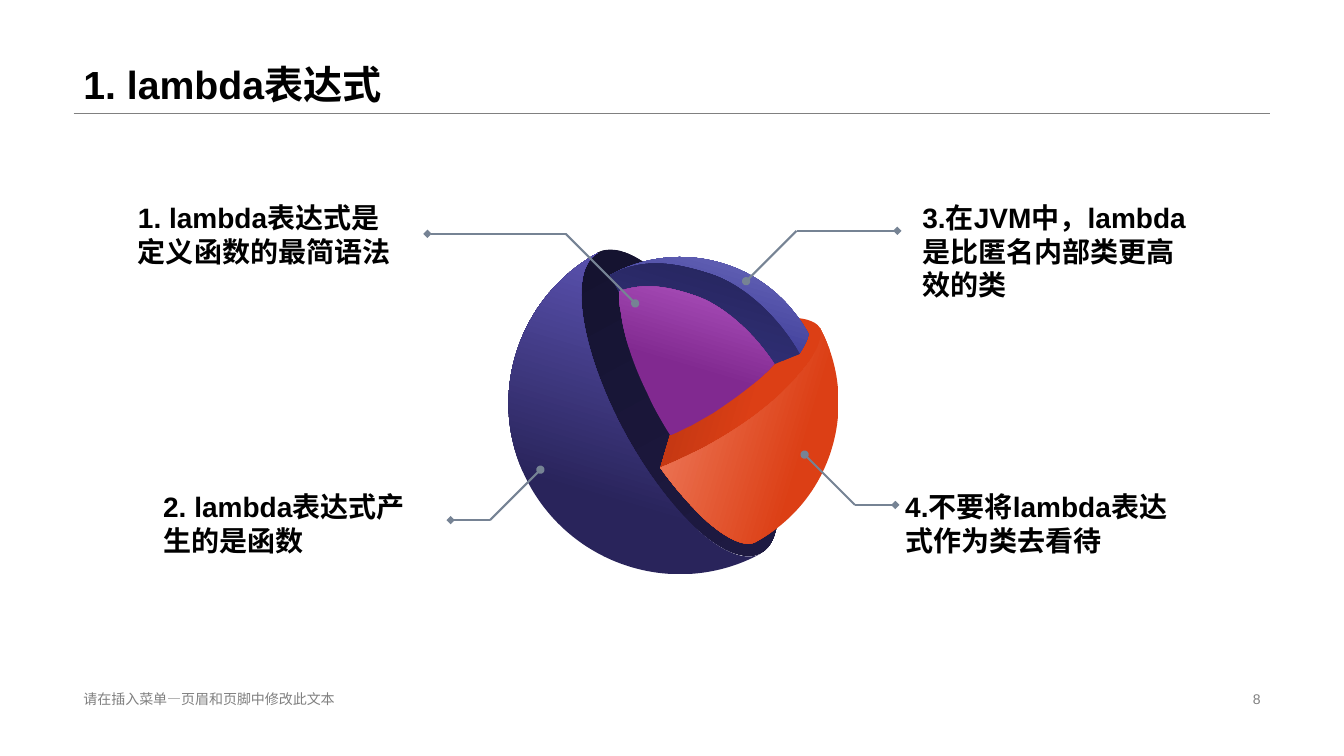
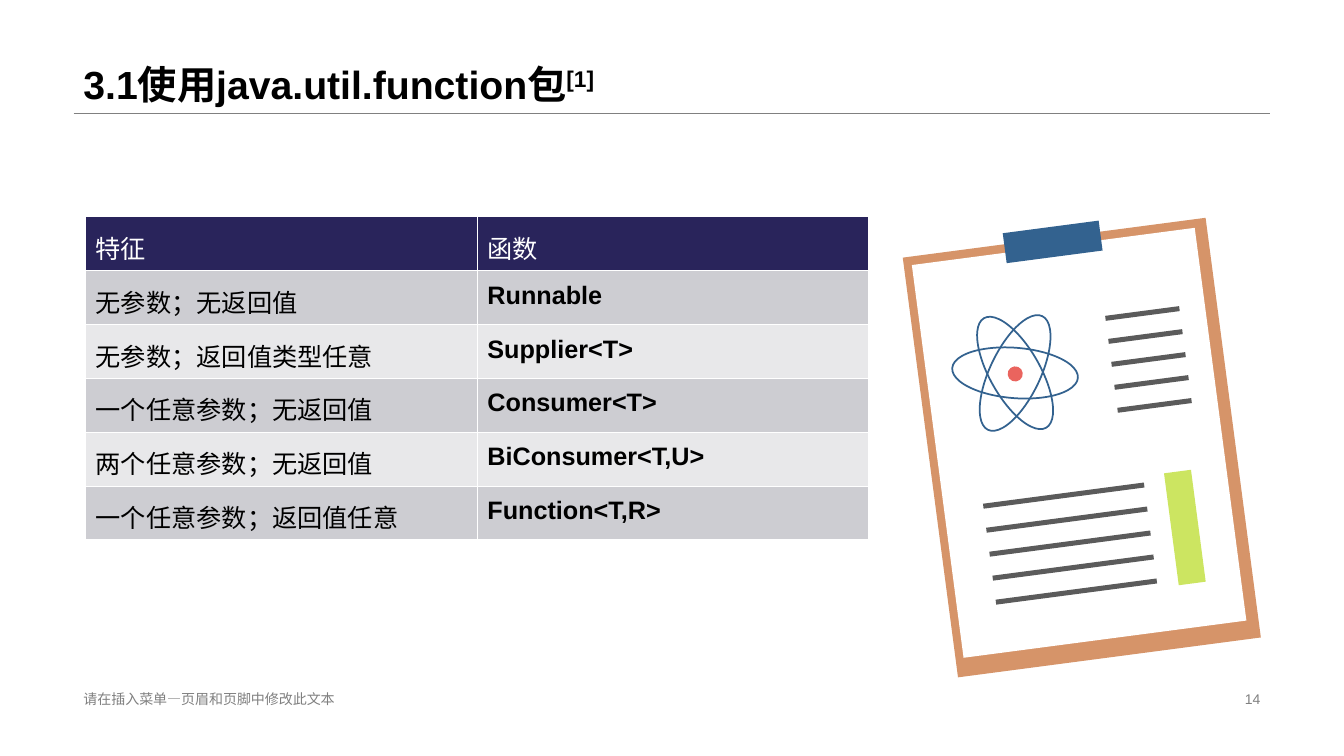
from dataclasses import dataclass
from math import cos, radians, sin

from lxml import etree
from pptx import Presentation
from pptx.dml.color import RGBColor
from pptx.enum.shapes import MSO_CONNECTOR, MSO_SHAPE
from pptx.enum.text import MSO_ANCHOR, PP_ALIGN
from pptx.oxml.ns import qn
from pptx.util import Inches, Pt

STRAIGHT = MSO_CONNECTOR.STRAIGHT
RECT, OVAL = MSO_SHAPE.RECTANGLE, MSO_SHAPE.OVAL
TOP, MIDDLE, BOTTOM = MSO_ANCHOR.TOP, MSO_ANCHOR.MIDDLE, MSO_ANCHOR.BOTTOM
LEFT, RIGHT = PP_ALIGN.LEFT, PP_ALIGN.RIGHT


@dataclass(frozen=True)
class Theme:
    font: str = "Arial"
    title: int = 28
    label: int = 20
    cell: int = 18
    footer: int = 10
    black: str = "000000"
    white: str = "FFFFFF"
    grey: str = "808080"
    leader: str = "768394"
    navy: str = "29245B"
    band_dark: str = "CDCDD2"
    band_light: str = "E8E8EA"
    wood: str = "D69469"
    blue: str = "33628F"
    red: str = "EA645E"
    ink: str = "5B5B5B"
    lime: str = "CCE561"


T = Theme()
FOOTER = "请在插入菜单—页眉和页脚中修改此文本"
MARGIN, CONTENT_W, RULE_Y = 0.73, 11.87, 1.12

SPHERE_TILT = -28.5
UP_RIGHT, UP_LEFT, DOWN = 45, 135, 270
CORE = ((1.12, 0.3, 1.24, 3.39), ("14122E", "1F1B44"), DOWN)
SPHERE_PARTS = [
    ("DC3F15", "A52F10", UP_LEFT, [
        (2.61, 1.17), (2.4, 1.2, 2.17, 1.27, 1.93, 1.36), (1.55, 2.64),
        (1.69, 2.58, 1.84, 2.51, 1.98, 2.44), (2.37, 2.23, 2.7, 1.98, 2.91, 1.73),
        (3.13, 1.49, 3.17, 1.32, 3.13, 1.25), (3.09, 1.18, 2.93, 1.12, 2.61, 1.17)]),
    ("3E3D99", "8180CC", UP_RIGHT, [
        (2.04, 0.73), (2.39, 0.89, 2.74, 1.17, 2.93, 1.51),
        (3.0, 1.4, 3.02, 1.34, 3.02, 1.31), (2.83, 0.97, 2.53, 0.72, 2.16, 0.61),
        (1.79, 0.5, 1.39, 0.54, 1.05, 0.73), (1.39, 0.54, 1.92, 0.68, 2.04, 0.73)]),
    ("2F2E73", "1F1F4C", UP_RIGHT, [
        (1.05, 0.73), (1.74, 2.0), (2.93, 1.51), (2.74, 1.17, 2.39, 0.82, 2.02, 0.71),
        (1.73, 0.62, 1.39, 0.54, 1.05, 0.73)]),
    ("812990", "C467D4", UP_RIGHT, [
        (2.68, 1.61), (2.49, 1.32, 2.21, 1.06, 1.94, 0.95),
        (1.64, 0.84, 1.39, 0.8, 1.14, 0.89), (1.14, 0.94, 1.14, 1.01, 1.16, 1.1),
        (1.19, 1.34, 1.28, 1.62, 1.42, 1.9), (1.45, 1.97, 1.49, 2.05, 1.53, 2.12),
        (1.57, 2.19, 1.61, 2.26, 1.65, 2.32), (1.72, 2.29, 1.79, 2.25, 1.86, 2.22),
        (1.93, 2.18, 2.0, 2.14, 2.07, 2.1), (2.31, 1.94, 2.53, 1.78, 2.68, 1.61)]),
    ("29245B", "635ABE", UP_RIGHT, [
        (0.93, 0.51), (0.11, 0.96, -0.2, 1.99, 0.25, 2.81),
        (0.7, 3.63, 1.73, 3.94, 2.55, 3.49), (2.25, 3.66, 1.65, 3.12, 1.2, 2.3),
        (0.75, 1.47, 0.63, 0.67, 0.93, 0.51)]),
    ("DC3F15", "F1886C", UP_LEFT, [
        (3.13, 1.25), (3.16, 1.32, 3.13, 1.49, 2.91, 1.73),
        (2.7, 1.98, 2.37, 2.23, 1.98, 2.44), (1.84, 2.51, 1.7, 2.58, 1.55, 2.64),
        (1.7, 2.85, 1.86, 3.03, 2.01, 3.17), (2.26, 3.39, 2.42, 3.42, 2.49, 3.38),
        (2.86, 3.18, 3.13, 2.85, 3.25, 2.45), (3.37, 2.05, 3.33, 1.62, 3.13, 1.25)]),
]
CALLOUTS = [
    ("1. lambda表达式是定义函数的最简语法", (0.27, 0.04), (5.3, 1.11), (4.61, 0.42), 3.24),
    ("2. lambda表达式产生的是函数", (0.52, 2.91), (4.36, 2.76), (3.86, 3.26), 3.47),
    ("3.在JVM中，lambda是比匿名内部类更高效的类", (8.05, 0.04), (6.4, 0.89), (6.9, 0.39), 7.9),
    ("4.不要将lambda表达式作为类去看待", (7.88, 2.91), (6.98, 2.61), (7.48, 3.11), 7.88),
]
FUNCTION_ROWS = [
    ("特征", "函数"),
    ("无参数；无返回值", "Runnable"),
    ("无参数；返回值类型任意", "Supplier<T>"),
    ("一个任意参数；无返回值", "Consumer<T>"),
    ("两个任意参数；无返回值", "BiConsumer<T,U>"),
    ("一个任意参数；返回值任意", "Function<T,R>"),
]


def rgb(color):
    return RGBColor.from_string(color)


def rotate(x, y, degrees):
    c, sn = cos(radians(degrees)), sin(radians(degrees))
    return x * c - y * sn, x * sn + y * c


def write(tf, text, size, color=T.black, bold=False, align=LEFT, spacing=1.0, superscript=""):
    p = tf.paragraphs[0]
    p.alignment, p.line_spacing = align, spacing
    for part, raised in ((text, False), (superscript, True)):
        if not part:
            continue
        r = p.add_run()
        r.text = part
        r.font.name, r.font.size, r.font.bold = T.font, Pt(size), bold
        r.font.color.rgb = rgb(color)
        if raised:
            r._r.get_or_add_rPr().set("baseline", "30000")


def add_text(s, box, text, size, anchor=TOP, **fmt):
    tf = s.shapes.add_textbox(*map(Inches, box)).text_frame
    tf.word_wrap, tf.vertical_anchor = True, anchor
    write(tf, text, size, **fmt)


def add_line(s, start, end, color, width, head=None, tail=None):
    c = s.shapes.add_connector(STRAIGHT, *map(Inches, (*start, *end)))
    c.line.color.rgb, c.line.width = rgb(color), Pt(width)
    sp_pr = c._element.spPr
    for tag, kind in (("a:headEnd", head), ("a:tailEnd", tail)):
        if kind:
            etree.SubElement(sp_pr.find(qn("a:ln")), qn(tag), type=kind)
    etree.SubElement(sp_pr, qn("a:effectLst"))


def paint(sp, fill=None, line=None, width=1.0):
    sp.shadow.inherit = False
    if fill:
        sp.fill.solid()
        sp.fill.fore_color.rgb = rgb(fill)
    else:
        sp.fill.background()
    if line:
        sp.line.color.rgb, sp.line.width = rgb(line), Pt(width)
    else:
        sp.line.fill.background()


def paint_gradient(sp, colors, angle, first_stop):
    sp.shadow.inherit = False
    sp.line.fill.background()
    sp.fill.gradient()
    sp.fill.gradient_angle = angle
    for stop, color, position in zip(sp.fill.gradient_stops, colors, (first_stop, 1.0)):
        stop.color.rgb, stop.position = rgb(color), position


def add_curved_shape(s, x, y, outline, tilt):
    points = [rotate(*seg[i:i + 2], -tilt) for seg in outline for i in range(0, len(seg), 2)]
    points = [(Inches(px), Inches(py)) for px, py in points]
    fb = s.shapes.build_freeform(*points[0])
    fb.add_line_segments(points[1:], close=True)
    sp = fb.convert_to_shape()

    lines = iter(list(sp._element.iter(qn("a:lnTo"))))
    for seg in outline[1:]:
        first = next(lines)
        if len(seg) == 6:
            curve = etree.Element(qn("a:cubicBezTo"))
            first.addprevious(curve)
            for ln in (first, next(lines), next(lines)):
                curve.append(ln[0])
                ln.getparent().remove(ln)

    cx, cy = rotate(sp.left + sp.width / 2, sp.top + sp.height / 2, tilt)
    sp.left = Inches(x) + round(cx - sp.width / 2)
    sp.top = Inches(y) + round(cy - sp.height / 2)
    sp.rotation = tilt
    return sp


def add_frame(prs, number, title, superscript=""):
    s = prs.slides.add_slide(prs.slide_layouts[6])
    add_line(s, (MARGIN, RULE_Y), (MARGIN + CONTENT_W, RULE_Y), T.grey, 0.25)
    add_text(s, (MARGIN, 0, CONTENT_W, RULE_Y), title, T.title, BOTTOM,
             bold=True, spacing=0.9, superscript=superscript)
    add_text(s, (MARGIN, 6.82, 4.53, 0.23), FOOTER, T.footer, MIDDLE, color=T.grey)
    add_text(s, (9.42, 6.82, 3.18, 0.23), str(number), T.footer, MIDDLE,
             color=T.grey, align=RIGHT)
    return s


def add_sphere(s, x, y):
    (dx, dy, w, h), colors, angle = CORE
    core = s.shapes.add_shape(OVAL, *map(Inches, (x + dx, y + dy, w, h)))
    core.rotation = SPHERE_TILT
    paint_gradient(core, colors, angle, 0)
    for start, end, angle, outline in SPHERE_PARTS:
        sp = add_curved_shape(s, x, y, outline, SPHERE_TILT)
        paint_gradient(sp, (start, end), angle, 0.38)


def add_callouts(s, x, y):
    for text, (tx, ty), (dot_x, dot_y), (bend_x, bend_y), end_x in CALLOUTS:
        bend = (x + bend_x, y + bend_y)
        add_line(s, (x + dot_x, y + dot_y), bend, T.leader, 1.5, head="oval")
        add_line(s, bend, (x + end_x, y + bend_y), T.leader, 1.5, tail="diamond")
        add_text(s, (x + tx, y + ty, 2.87, 1.06), text, T.label, bold=True)


def set_borders(cell, color, width):
    tc_pr = cell._tc.get_or_add_tcPr()
    for i, side in enumerate("LRTB"):
        ln = etree.Element(qn(f"a:ln{side}"), w=str(Pt(width)))
        fill = etree.SubElement(ln, qn("a:solidFill"))
        etree.SubElement(fill, qn("a:srgbClr"), val=color)
        tc_pr.insert(i, ln)


def add_function_table(s, x, y, w, h):
    table = s.shapes.add_table(len(FUNCTION_ROWS), 2, *map(Inches, (x, y, w, h))).table
    table.horz_banding = False
    table.first_row = False
    for i, row in enumerate(FUNCTION_ROWS):
        header = i == 0
        fill = T.navy if header else (T.band_light, T.band_dark)[i % 2]
        for j, text in enumerate(row):
            cell = table.cell(i, j)
            cell.fill.solid()
            cell.fill.fore_color.rgb = rgb(fill)
            set_borders(cell, T.white, 1)
            write(cell.text_frame, text, T.cell, color=T.white if header else T.black,
                  bold=j == 1 and not header, spacing=1.2)


def add_clipboard(s, cx, cy, w, h, tilt=-7.5):
    def place(kind, u, v, pw, ph, turn=0, **style):
        dx, dy = rotate(u, v, tilt)
        box = (cx + dx - pw / 2, cy + dy - ph / 2, pw, ph)
        sp = s.shapes.add_shape(kind, *map(Inches, box))
        sp.rotation = tilt + turn
        paint(sp, **style)

    place(RECT, 0, 0, w, h, fill=T.wood)
    place(RECT, -0.02, -0.05, w - 0.2, h - 0.27, fill=T.white)
    place(RECT, -0.02, -2.06, 0.96, 0.3, fill=T.blue)
    for turn in (12, 68, 123):
        place(OVAL, -0.56, -0.82, 1.25, 0.5, turn, line=T.blue, width=1.25)
    place(OVAL, -0.56, -0.81, 0.15, 0.15, fill=T.red)
    for u, v, length, gap in ((0.77, -1.24, 0.74, 0.23), (-0.24, 0.45, 1.61, 0.24)):
        for i in range(5):
            place(RECT, u, v + i * gap, length, 0.05, fill=T.ink)
    place(RECT, 0.91, 0.92, 0.27, 1.12, fill=T.lime)


def build_lambda_slide(prs):
    s = add_frame(prs, 8, "1. lambda表达式")
    add_sphere(s, 5, 2)
    add_callouts(s, 1, 1.9)


def build_function_slide(prs):
    s = add_frame(prs, 14, "3.1使用java.util.function包", superscript="[1]")
    add_function_table(s, 0.85, 2.15, 7.77, 3.21)
    add_clipboard(s, 10.73, 4.44, 3.03, 4.2)


def main():
    prs = Presentation()
    prs.slide_width, prs.slide_height = Inches(13.33), Inches(7.5)
    build_lambda_slide(prs)
    build_function_slide(prs)
    prs.save("out.pptx")


if __name__ == "__main__":
    main()
